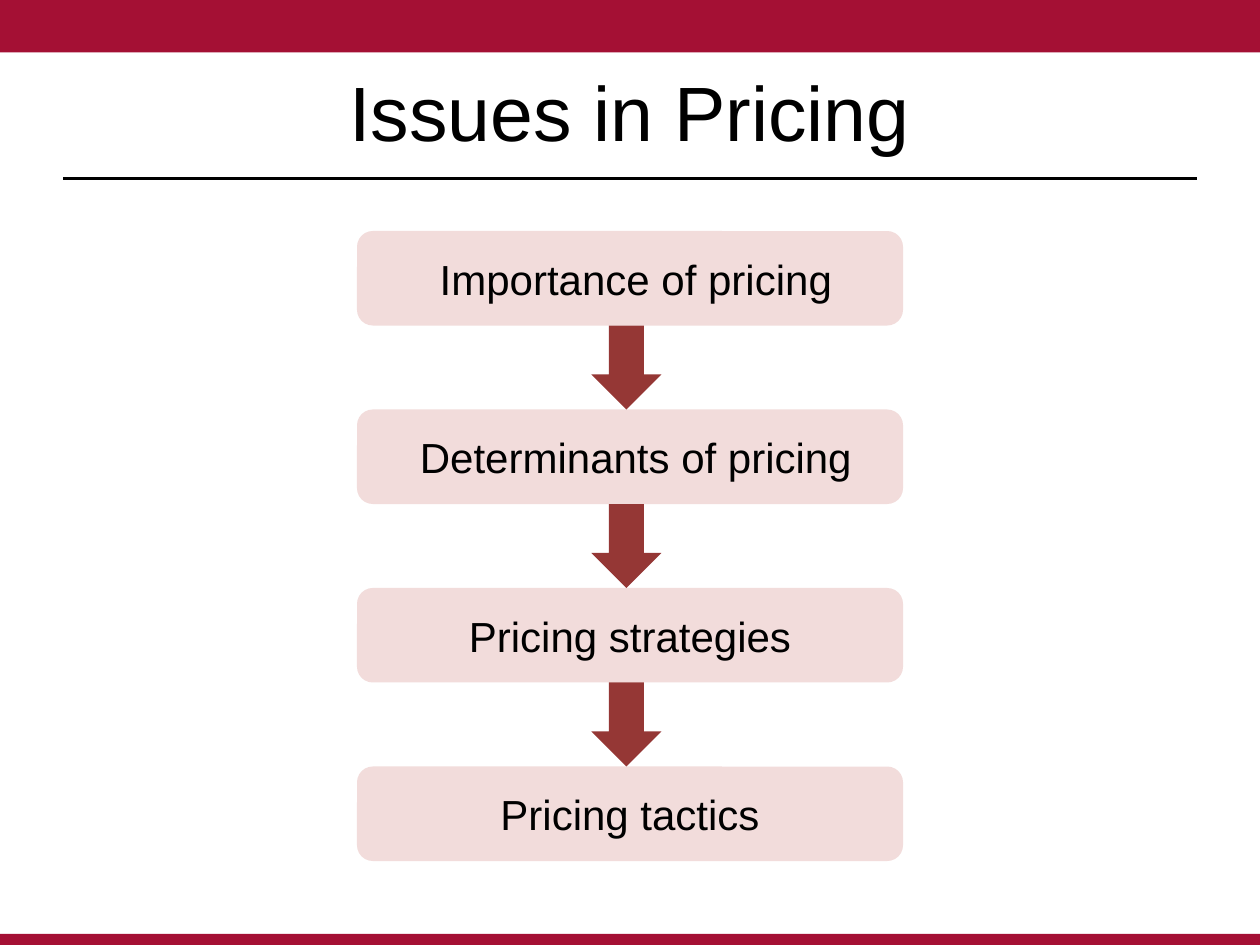
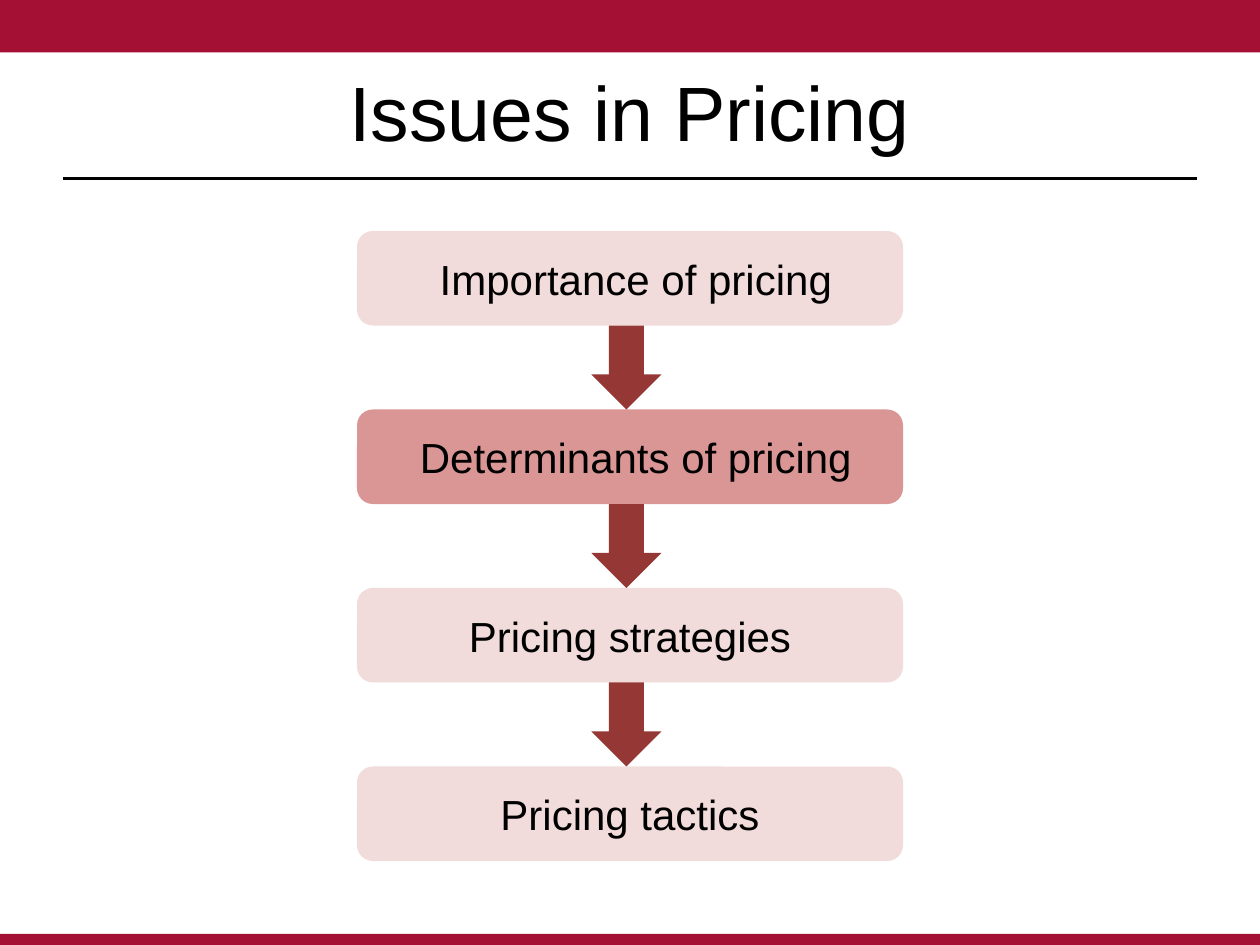
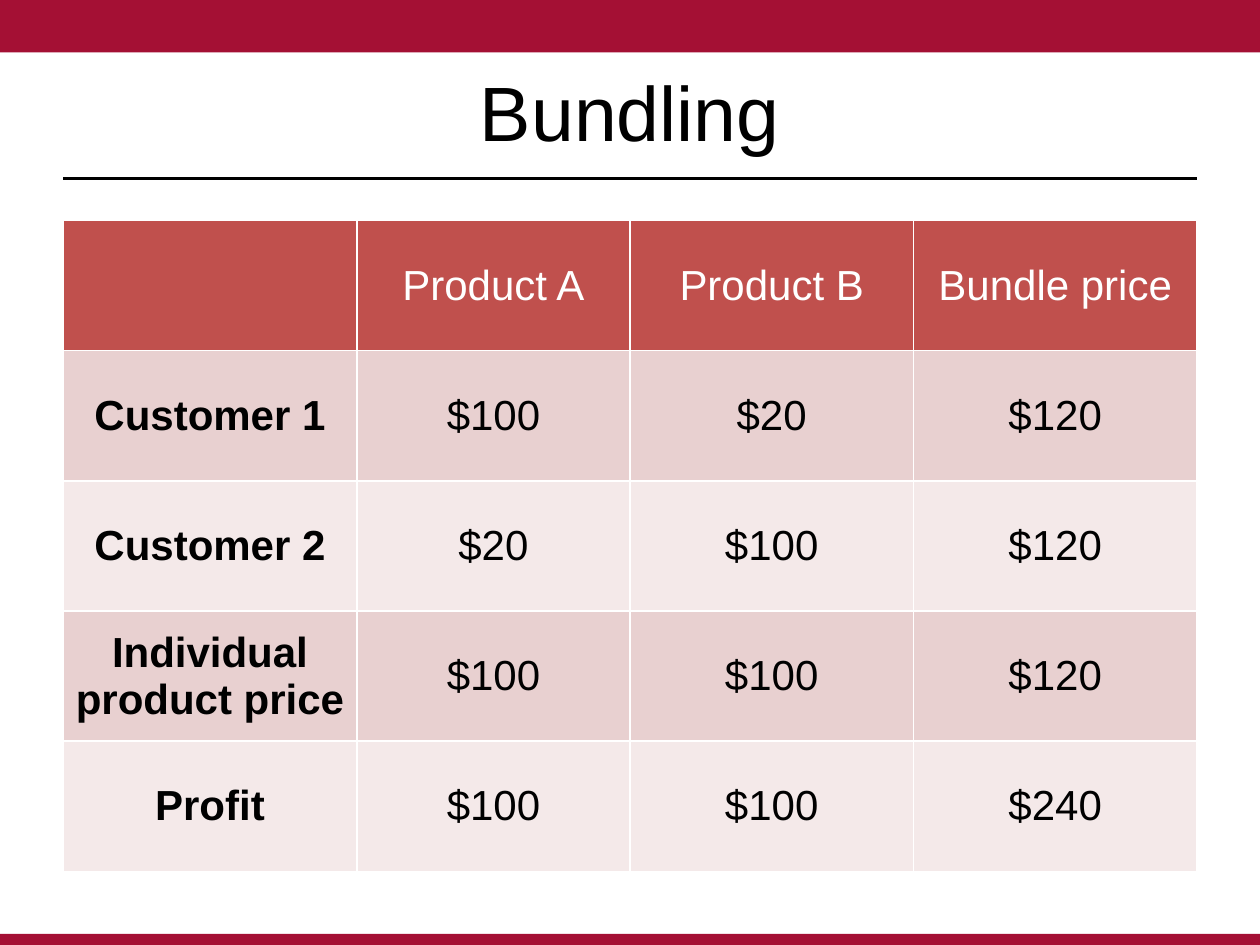
from pptx import Presentation
from pptx.dml.color import RGBColor
from pptx.enum.shapes import MSO_CONNECTOR, MSO_SHAPE
from pptx.enum.text import MSO_ANCHOR, PP_ALIGN
from pptx.util import Inches, Pt
from lxml import etree

RECT = MSO_SHAPE.RECTANGLE
ROUND = MSO_SHAPE.ROUNDED_RECTANGLE
ARROW = MSO_SHAPE.DOWN_ARROW
LINE = MSO_CONNECTOR.STRAIGHT
MIDDLE = MSO_ANCHOR.MIDDLE
CENTER = PP_ALIGN.CENTER

# Colours
CRIMSON, BLACK, WHITE = "A41034", "000000", "FFFFFF"
PALE, ACTIVE, DARK = "F2DCDB", "D99694", "953735"
HEAD, ODD, EVEN = "C0504D", "E8D0D0", "F4E9E9"

# Grid of 120 columns by 90 rows
COLS, ROWS = 120, 90
UNIT = Inches(10) / COLS
LEFT, WIDE = 6, 108
A_NS = "http://schemas.openxmlformats.org/drawingml/2006/main"

deck = Presentation()
deck.slide_width = round(COLS * UNIT)
deck.slide_height = round(ROWS * UNIT)


def style(frame, size, color, bold=False):
    frame.word_wrap = True
    frame.vertical_anchor = MIDDLE
    para = frame.paragraphs[0]
    para.alignment = CENTER
    font = para.font
    font.name, font.size, font.bold = "Arial", Pt(size), bold
    font.color.rgb = RGBColor.from_string(color)


def block(slide, kind, box, fill):
    shape = slide.shapes.add_shape(kind, *[round(n * UNIT) for n in box])
    shape.shadow.inherit = False
    shape.fill.solid()
    shape.fill.fore_color.rgb = RGBColor.from_string(fill)
    shape.line.fill.background()
    return shape


# Shared frame: bands, rule and title
slides = []
for text in ("Issues in Pricing", "Issues in Pricing", "Bundling"):
    slide = deck.slides.add_slide(deck.slide_layouts[5])
    slides.append(slide)
    block(slide, RECT, (0, 0, COLS, 5), CRIMSON)
    block(slide, RECT, (0, 88.95, COLS, 1.05), CRIMSON)
    ends = [round(n * UNIT) for n in (LEFT, 17, LEFT + WIDE, 17)]
    rule = slide.shapes.add_connector(LINE, *ends)
    rule.line.color.rgb = RGBColor.from_string(BLACK)
    rule.line.width = Pt(1.25)
    etree.SubElement(rule.line._get_or_add_ln().getparent(), f"{{{A_NS}}}effectLst")

    title = slide.shapes.title
    title.left, title.top, title.width, title.height = [
        round(n * UNIT) for n in (LEFT, 3, WIDE, 15)]
    title.text_frame.text = text
    style(title.text_frame, 44, BLACK)

# Chain of pricing issues, one step marked on the second slide
STEPS = [" Importance of pricing", " Determinants of pricing",
         "Pricing strategies", "Pricing tactics"]
TOP, PITCH, HIGH = 22, 17, 9
for slide, mark in zip(slides, (None, 1)):
    for i, text in enumerate(STEPS):
        top = TOP + i * PITCH
        fill = ACTIVE if i == mark else PALE
        step = block(slide, ROUND, (34, top, 52, HIGH), fill)
        step.text_frame.text = text
        style(step.text_frame, 24, BLACK)
    for i in range(len(STEPS) - 1):
        top = TOP + i * PITCH + HIGH
        block(slide, ARROW, (56.33, top, 6.67, PITCH - HIGH), DARK)

# Bundling table
PRICES = [
    ("", "Product A", "Product B", "Bundle price"),
    ("Customer 1", "$100", "$20", "$120"),
    ("Customer 2", "$20", "$100", "$120"),
    ("Individual product price", "$100", "$100", "$120"),
    ("Profit", "$100", "$100", "$240"),
]
box = [round(n * UNIT) for n in (LEFT, 21, WIDE, 62)]
table = slides[2].shapes.add_table(len(PRICES), len(PRICES[0]), *box).table
table.first_col = True
for col, width in zip(table.columns, (28, 26, 27, 27)):
    col.width = round(width * UNIT)
for r, row in enumerate(PRICES):
    fill = HEAD if r == 0 else ODD if r % 2 else EVEN
    for c, text in enumerate(row):
        cell = table.cell(r, c)
        cell.fill.solid()
        cell.fill.fore_color.rgb = RGBColor.from_string(fill)
        cell.vertical_anchor = MIDDLE
        cell.text = text
        style(cell.text_frame, 24, BLACK if r else WHITE, r > 0 and c == 0)

deck.save("out.pptx")
